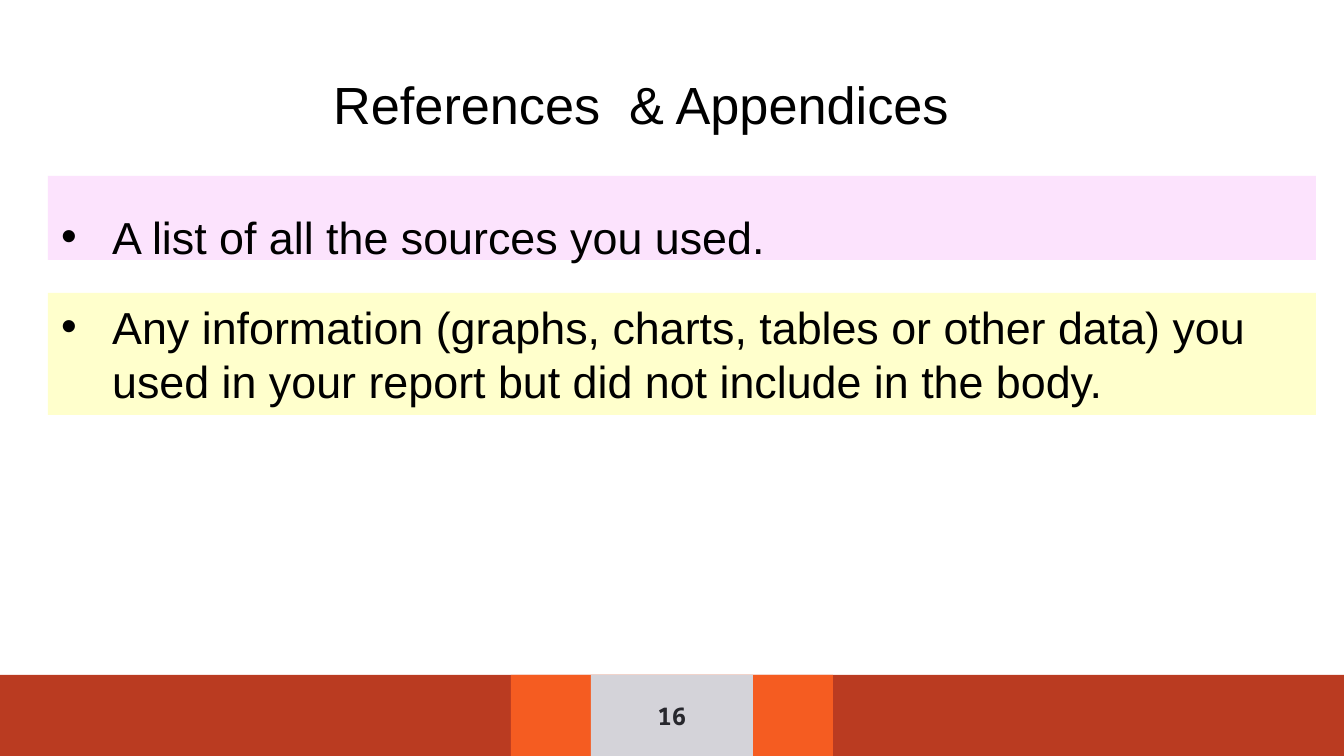
from dataclasses import dataclass

from lxml import etree
from pptx import Presentation
from pptx.dml.color import RGBColor
from pptx.enum.shapes import MSO_SHAPE
from pptx.enum.text import MSO_ANCHOR, PP_ALIGN
from pptx.oxml.ns import qn
from pptx.util import Emu, Pt

RECTANGLE = MSO_SHAPE.RECTANGLE
TOP, MIDDLE = MSO_ANCHOR.TOP, MSO_ANCHOR.MIDDLE
LEFT, CENTER = PP_ALIGN.LEFT, PP_ALIGN.CENTER
EMU_PER_PX = 914400 / 134.4
PAGE_WIDTH, PAGE_HEIGHT = 1344, 756
FOOTER_HEIGHT = 81
BULLET_INDENT = 51


@dataclass(frozen=True)
class Theme:
    ink: str = "000000"
    number_ink: str = "27272D"
    footer: str = "BA3B21"
    footer_accent: str = "F55C21"
    footer_center: str = "D4D3D9"
    references: str = "FCE3FD"
    appendices: str = "FFFFCC"
    font: str = "Arial"
    number_font: str = "Noto Sans Mono"
    title_size: int = 28
    body_size: int = 24
    number_size: int = 13


@dataclass(frozen=True)
class Panel:
    top: int
    height: int
    fill: str
    text: str
    line_spacing: float


THEME = Theme()
FOOTER_BANDS = (
    (PAGE_WIDTH, THEME.footer),
    (322, THEME.footer_accent),
    (162, THEME.footer_center),
)
PANELS = (
    Panel(176, 84, THEME.references, "A list of all the sources you used.", 1.5),
    Panel(
        293,
        122,
        THEME.appendices,
        "Any information (graphs, charts, tables or other data) you used in "
        "your report but did not include in the body.",
        1.0,
    ),
)


def px(length: int) -> Emu:
    return Emu(round(length * EMU_PER_PX))


def add_rectangle(page, left: int, top: int, width: int, height: int, fill: str):
    shape = page.shapes.add_shape(RECTANGLE, px(left), px(top), px(width), px(height))
    shape.shadow.inherit = False
    shape.fill.solid()
    shape.fill.fore_color.rgb = RGBColor.from_string(fill)
    shape.line.fill.background()
    return shape


def write_text(box, text: str, size: int, color: str, font: str = THEME.font,
               bold: bool = False, align=LEFT, anchor=TOP):
    frame = box.text_frame
    frame.text = text
    frame.vertical_anchor = anchor
    paragraph = frame.paragraphs[0]
    paragraph.alignment = align
    span = paragraph.runs[0]
    span.font.name = font
    span.font.size = Pt(size)
    span.font.bold = bold
    span.font.color.rgb = RGBColor.from_string(color)
    return paragraph


def add_bullet(paragraph) -> None:
    properties = paragraph._p.get_or_add_pPr()
    properties.set("marL", str(px(BULLET_INDENT)))
    properties.set("indent", str(-px(BULLET_INDENT)))
    color = etree.SubElement(properties, qn("a:buClr"))
    etree.SubElement(color, qn("a:srgbClr"), val=THEME.ink)
    etree.SubElement(properties, qn("a:buFont"), typeface=THEME.font)
    etree.SubElement(properties, qn("a:buChar"), char="•")


def add_footer(page, number: str) -> None:
    for width, fill in FOOTER_BANDS:
        band = add_rectangle(page, (PAGE_WIDTH - width) // 2,
                             PAGE_HEIGHT - FOOTER_HEIGHT, width, FOOTER_HEIGHT, fill)
    write_text(band, number, THEME.number_size, THEME.number_ink,
               THEME.number_font, True, CENTER, MIDDLE)


def add_panel(page, panel: Panel) -> None:
    box = add_rectangle(page, 48, panel.top, 1268, panel.height, panel.fill)
    box.text_frame.word_wrap = True
    paragraph = write_text(box, panel.text, THEME.body_size, THEME.ink)
    add_bullet(paragraph)
    paragraph.line_spacing = panel.line_spacing


def add_title(page, text: str) -> None:
    box = page.shapes.add_textbox(px(320), px(66), px(653), px(140))
    box.text_frame.word_wrap = False
    write_text(box, text, THEME.title_size, THEME.ink)


def main() -> None:
    deck = Presentation()
    deck.slide_width, deck.slide_height = px(PAGE_WIDTH), px(PAGE_HEIGHT)
    page = deck.slides.add_slide(deck.slide_layouts[6])
    add_footer(page, "16")
    for panel in PANELS:
        add_panel(page, panel)
    add_title(page, "References  & Appendices")
    deck.save("out.pptx")


if __name__ == "__main__":
    main()
